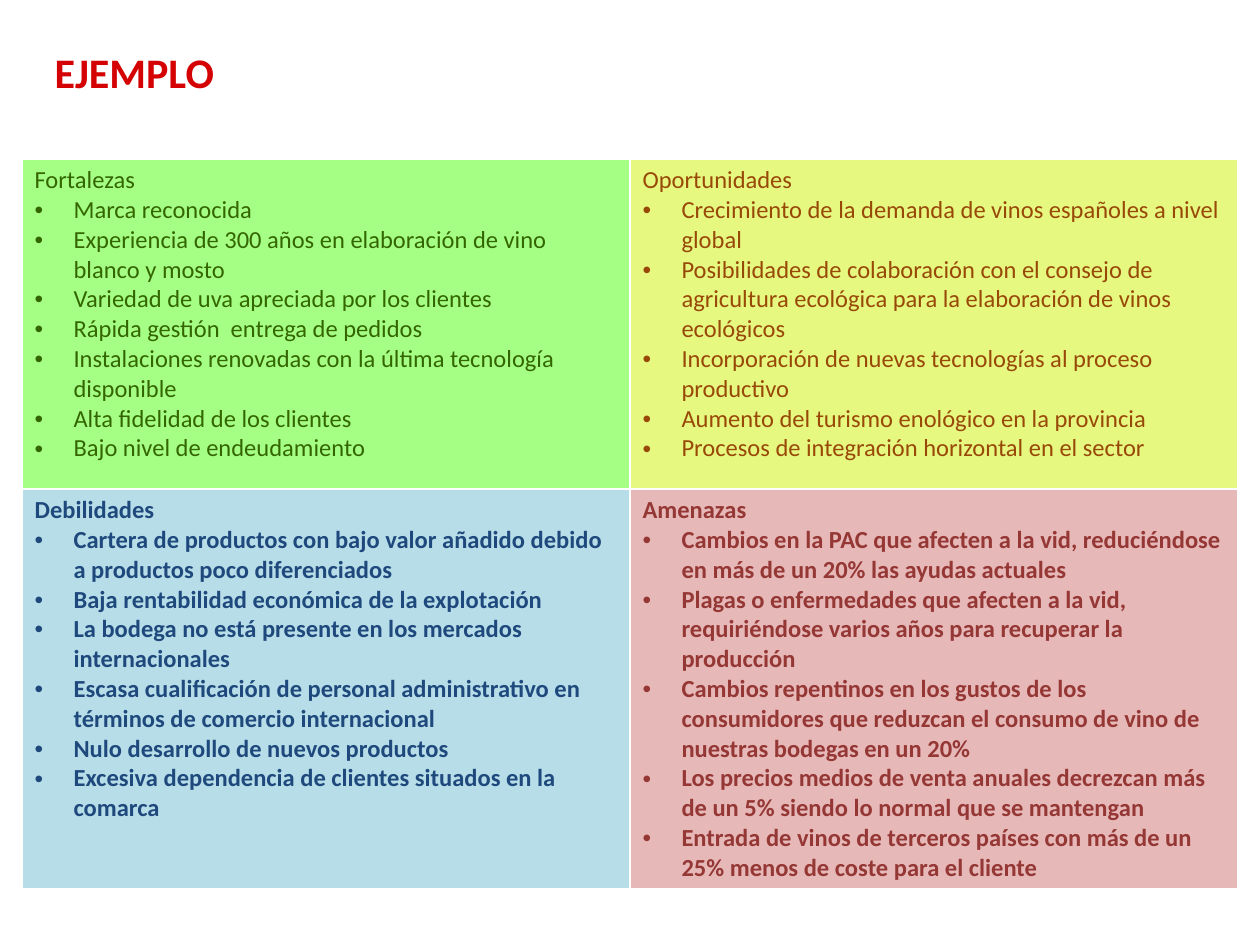
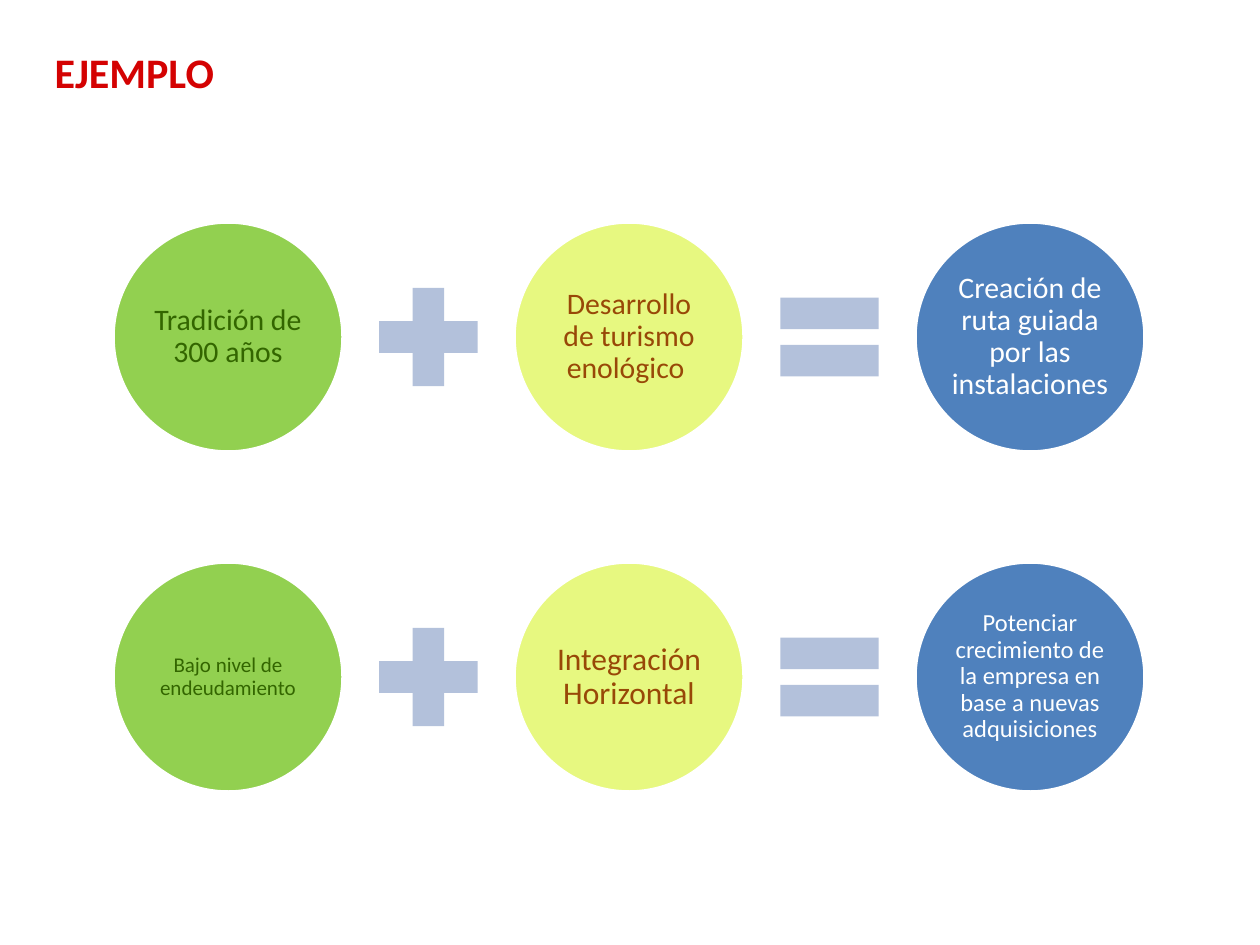
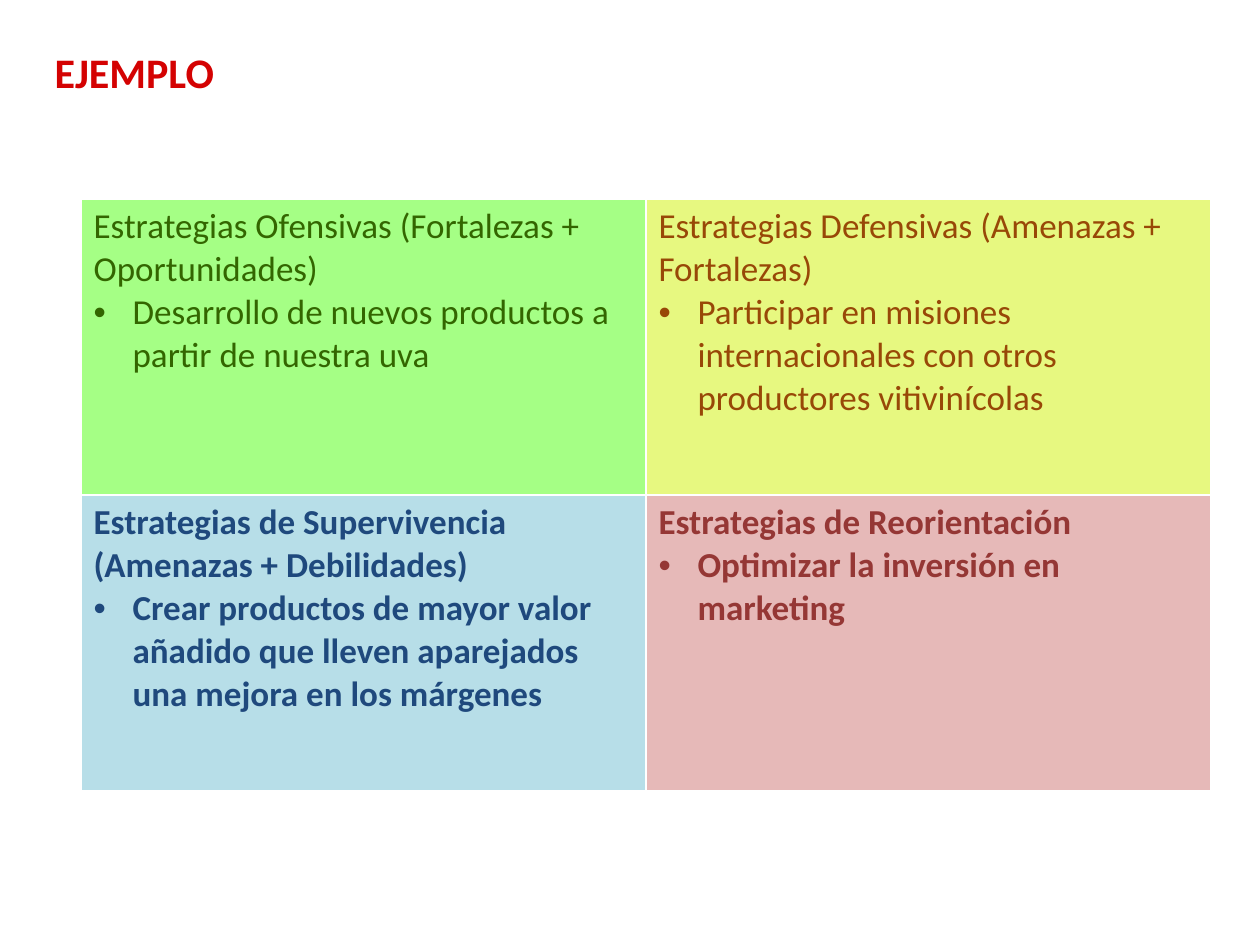
from dataclasses import dataclass

from lxml.etree import SubElement
from pptx import Presentation
from pptx.dml.color import RGBColor
from pptx.enum.shapes import MSO_SHAPE as Shape
from pptx.enum.text import MSO_ANCHOR as Anchor, MSO_AUTO_SIZE as AutoSize, PP_ALIGN as Align
from pptx.oxml.ns import qn
from pptx.util import Emu, Pt

PIXELS_PER_INCH = 126
FONT = "Calibri"
TITLE_ONLY = 5

TITLE_RED = RGBColor(0xD4, 0x02, 0x02)
WHITE = RGBColor(0xFF, 0xFF, 0xFF)
GREEN = RGBColor(0xA5, 0xFF, 0x85)
LEAF = RGBColor(0x92, 0xD0, 0x50)
DARK_GREEN = RGBColor(0x33, 0x66, 0x00)
YELLOW = RGBColor(0xE7, 0xF8, 0x80)
BROWN = RGBColor(0x98, 0x48, 0x07)
PALE_BLUE = RGBColor(0xB7, 0xDE, 0xE8)
NAVY = RGBColor(0x1F, 0x49, 0x7D)
PINK = RGBColor(0xE6, 0xB9, 0xB8)
DARK_RED = RGBColor(0x95, 0x37, 0x35)
BLUE = RGBColor(0x4F, 0x81, 0xBD)
OPERATOR_BLUE = RGBColor(0xB3, 0xC1, 0xDB)

BULLET_INDENT = 39
CIRCLE_SIZE = 230
CIRCLE_LEFT = 113
CIRCLE_PITCH = 401
CIRCLE_INSET = 3
OPERATOR_SIZE = 134


@dataclass(frozen=True)
class QuadrantStyle:
    """Look of one cell of a two-by-two matrix."""
    fill: RGBColor
    ink: RGBColor
    bold: bool


@dataclass(frozen=True)
class Quadrant:
    """Heading and bullets of one matrix cell."""
    heading: str
    bullets: list[str]


@dataclass(frozen=True)
class Matrix:
    """Place, text size and cells of a two-by-two matrix."""
    left: int
    top: int
    column_width: int
    row_heights: tuple[int, int]
    size: int
    quadrants: list[Quadrant]


@dataclass(frozen=True)
class Term:
    """Text of one circle in a sum."""
    text: str
    size: int


@dataclass(frozen=True)
class Sum:
    """A row of three circles: two terms and their result."""
    top: int
    terms: list[Term]


QUADRANT_STYLES = [
    QuadrantStyle(GREEN, DARK_GREEN, False),
    QuadrantStyle(YELLOW, BROWN, False),
    QuadrantStyle(PALE_BLUE, NAVY, True),
    QuadrantStyle(PINK, DARK_RED, True),
]
CIRCLE_COLOURS = [(LEAF, DARK_GREEN), (YELLOW, BROWN), (BLUE, WHITE)]
OPERATORS = [Shape.MATH_PLUS, Shape.MATH_EQUAL]

SWOT = Matrix(22, 159, 608, (330, 400), 14, [
    Quadrant("Fortalezas", [
        "Marca reconocida",
        "Experiencia de 300 años en elaboración de vino blanco y mosto",
        "Variedad de uva apreciada por los clientes",
        "Rápida gestión  entrega de pedidos",
        "Instalaciones renovadas con la última tecnología disponible",
        "Alta fidelidad de los clientes",
        "Bajo nivel de endeudamiento",
    ]),
    Quadrant("Oportunidades", [
        "Crecimiento de la demanda de vinos españoles a nivel global",
        "Posibilidades de colaboración con el consejo de agricultura ecológica "
        "para la elaboración de vinos ecológicos",
        "Incorporación de nuevas tecnologías al proceso productivo",
        "Aumento del turismo enológico en la provincia",
        "Procesos de integración horizontal en el sector",
    ]),
    Quadrant("Debilidades", [
        "Cartera de productos con bajo valor añadido debido a productos poco diferenciados",
        "Baja rentabilidad económica de la explotación",
        "La bodega no está presente en los mercados internacionales",
        "Escasa cualificación de personal administrativo en términos de comercio internacional",
        "Nulo desarrollo de nuevos productos",
        "Excesiva dependencia de clientes situados en la comarca",
    ]),
    Quadrant("Amenazas", [
        "Cambios en la PAC que afecten a la vid, reduciéndose en más de un 20% "
        "las ayudas actuales",
        "Plagas o enfermedades que afecten a la vid, requiriéndose varios años "
        "para recuperar la producción",
        "Cambios repentinos en los gustos de los consumidores que reduzcan "
        "el consumo de vino de nuestras bodegas en un 20%",
        "Los precios medios de venta anuales decrezcan más de un 5% "
        "siendo lo normal que se mantengan",
        "Entrada de vinos de terceros países con más de un 25% menos de coste "
        "para el cliente",
    ]),
])

SUMS = [
    Sum(222, [
        Term("Tradición de 300 años", 17),
        Term("Desarrollo de turismo enológico ", 17),
        Term("Creación de ruta guiada por las instalaciones", 17),
    ]),
    Sum(562, [
        Term("Bajo nivel de endeudamiento", 12),
        Term("Integración Horizontal", 18),
        Term("Potenciar crecimiento de la empresa en base a nuevas adquisiciones", 14),
    ]),
]

STRATEGIES = Matrix(81, 199, 565, (296, 296), 20, [
    Quadrant("Estrategias Ofensivas (Fortalezas + Oportunidades)", [
        "Desarrollo de nuevos productos a partir de nuestra uva",
    ]),
    Quadrant("Estrategias Defensivas (Amenazas + Fortalezas)", [
        "Participar en misiones internacionales con otros productores vitivinícolas",
    ]),
    Quadrant("Estrategias de Supervivencia (Amenazas + Debilidades)", [
        "Crear productos de mayor valor añadido que lleven aparejados "
        "una mejora en los márgenes",
    ]),
    Quadrant("Estrategias de Reorientación", [
        "Optimizar la inversión en marketing",
    ]),
])


def px(pixels: float) -> Emu:
    """Turn pixels into EMU."""
    return Emu(round(pixels * 914400 / PIXELS_PER_INCH))


def write(para, text: str, *, size: int, colour: RGBColor, bold: bool = False,
          align=Align.LEFT, spacing: float = 1.0) -> None:
    """Write one formatted run into a paragraph."""
    para.alignment = align
    para.line_spacing = spacing
    span = para.add_run()
    span.text = text
    span.font.name = FONT
    span.font.size = Pt(size)
    span.font.bold = bold
    span.font.color.rgb = colour


def add_bullet(para) -> None:
    """Give a paragraph a round bullet with a hanging indent."""
    properties = para._p.get_or_add_pPr()
    properties.set("marL", str(px(BULLET_INDENT)))
    properties.set("indent", str(-px(BULLET_INDENT)))
    SubElement(properties, qn("a:buFont"), typeface="Arial")
    SubElement(properties, qn("a:buChar"), char="•")


def add_borders(cell) -> None:
    """Draw thin white lines around a cell."""
    properties = cell._tc.get_or_add_tcPr()
    for side in ("lnL", "lnR", "lnT", "lnB"):
        line = SubElement(properties, qn(f"a:{side}"), w=str(Pt(1)))
        fill = SubElement(line, qn("a:solidFill"))
        SubElement(fill, qn("a:srgbClr"), val=str(WHITE))


def add_page(deck):
    """Add a slide with the shared title."""
    page = deck.slides.add_slide(deck.slide_layouts[TITLE_ONLY])
    title = page.shapes.title
    title.left, title.top, title.width, title.height = px(42), px(24), px(1071), px(95)
    frame = title.text_frame
    frame.word_wrap = True
    frame.auto_size = AutoSize.NONE
    frame.vertical_anchor = Anchor.MIDDLE
    write(frame.paragraphs[0], "EJEMPLO", size=24, colour=TITLE_RED, bold=True)
    return page


def fill_quadrant(cell, quadrant: Quadrant, style: QuadrantStyle, size: int) -> None:
    """Colour a matrix cell and write its heading and bullets."""
    add_borders(cell)
    cell.fill.solid()
    cell.fill.fore_color.rgb = style.fill
    look = {"size": size, "colour": style.ink, "bold": style.bold}
    frame = cell.text_frame
    write(frame.paragraphs[0], quadrant.heading, **look)
    for bullet in quadrant.bullets:
        para = frame.add_paragraph()
        write(para, bullet, **look)
        add_bullet(para)


def add_matrix(page, matrix: Matrix) -> None:
    """Draw a two-by-two matrix as a table."""
    table = page.shapes.add_table(
        2, 2, px(matrix.left), px(matrix.top),
        px(2 * matrix.column_width), px(sum(matrix.row_heights))).table
    table.first_row = table.horz_banding = False
    for column in table.columns:
        column.width = px(matrix.column_width)
    for row, height in zip(table.rows, matrix.row_heights):
        row.height = px(height)
    for cell, quadrant, style in zip(table.iter_cells(), matrix.quadrants, QUADRANT_STYLES):
        fill_quadrant(cell, quadrant, style, matrix.size)


def add_figure(group, kind, left: float, top: float, size: int, fill: RGBColor):
    """Add a square preset shape with a plain fill and no line."""
    box = group.shapes.add_shape(kind, px(left), px(top), px(size), px(size))
    box.shadow.inherit = False
    box.fill.solid()
    box.fill.fore_color.rgb = fill
    box.line.fill.background()
    return box


def add_circle(group, left: int, top: int, term: Term, fill: RGBColor, ink: RGBColor) -> None:
    """Add a white-edged circle holding one term."""
    circle = add_figure(group, Shape.OVAL, left, top, CIRCLE_SIZE, fill)
    circle.line.color.rgb = WHITE
    circle.line.width = Pt(2)
    frame = circle.text_frame
    frame.word_wrap = True
    frame.vertical_anchor = Anchor.MIDDLE
    frame.margin_left = frame.margin_right = px(CIRCLE_INSET)
    frame.margin_top = frame.margin_bottom = px(CIRCLE_INSET)
    write(frame.paragraphs[0], term.text, size=term.size, colour=ink,
          align=Align.CENTER, spacing=0.9)


def add_sum(page, row: Sum) -> None:
    """Draw a row of circles with an operator centred in each gap."""
    group = page.shapes.add_group_shape()
    for index, (term, (fill, ink)) in enumerate(zip(row.terms, CIRCLE_COLOURS)):
        add_circle(group, CIRCLE_LEFT + index * CIRCLE_PITCH, row.top, term, fill, ink)
    first_left = CIRCLE_LEFT + (CIRCLE_PITCH + CIRCLE_SIZE - OPERATOR_SIZE) / 2
    top = row.top + (CIRCLE_SIZE - OPERATOR_SIZE) / 2
    for index, operator in enumerate(OPERATORS):
        add_figure(group, operator, first_left + index * CIRCLE_PITCH, top,
                   OPERATOR_SIZE, OPERATOR_BLUE)


def main() -> None:
    """Build the deck and save it."""
    deck = Presentation()
    deck.slide_width, deck.slide_height = px(1260), px(945)
    add_matrix(add_page(deck), SWOT)
    sums_page = add_page(deck)
    for row in SUMS:
        add_sum(sums_page, row)
    add_matrix(add_page(deck), STRATEGIES)
    deck.save("out.pptx")


main()
